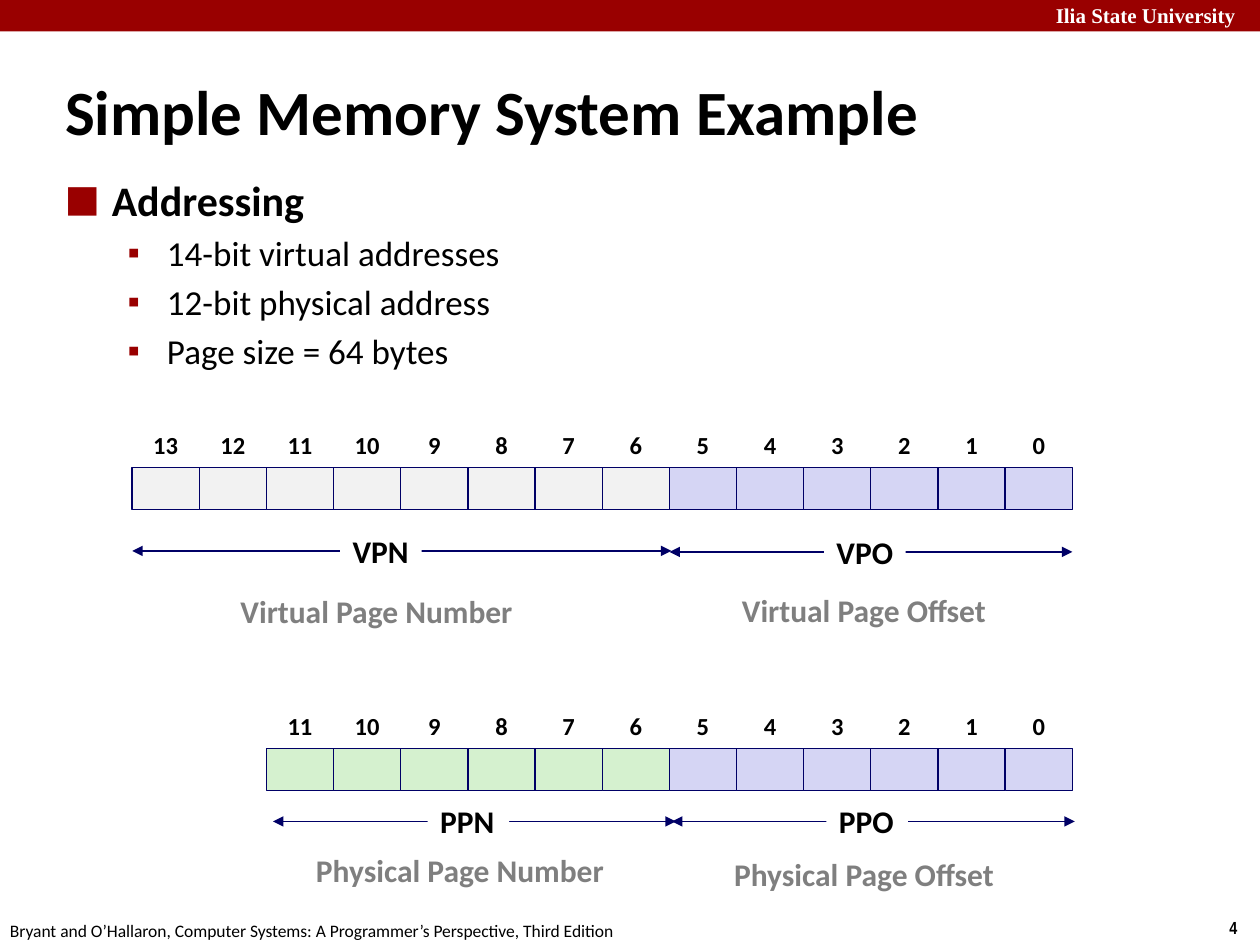
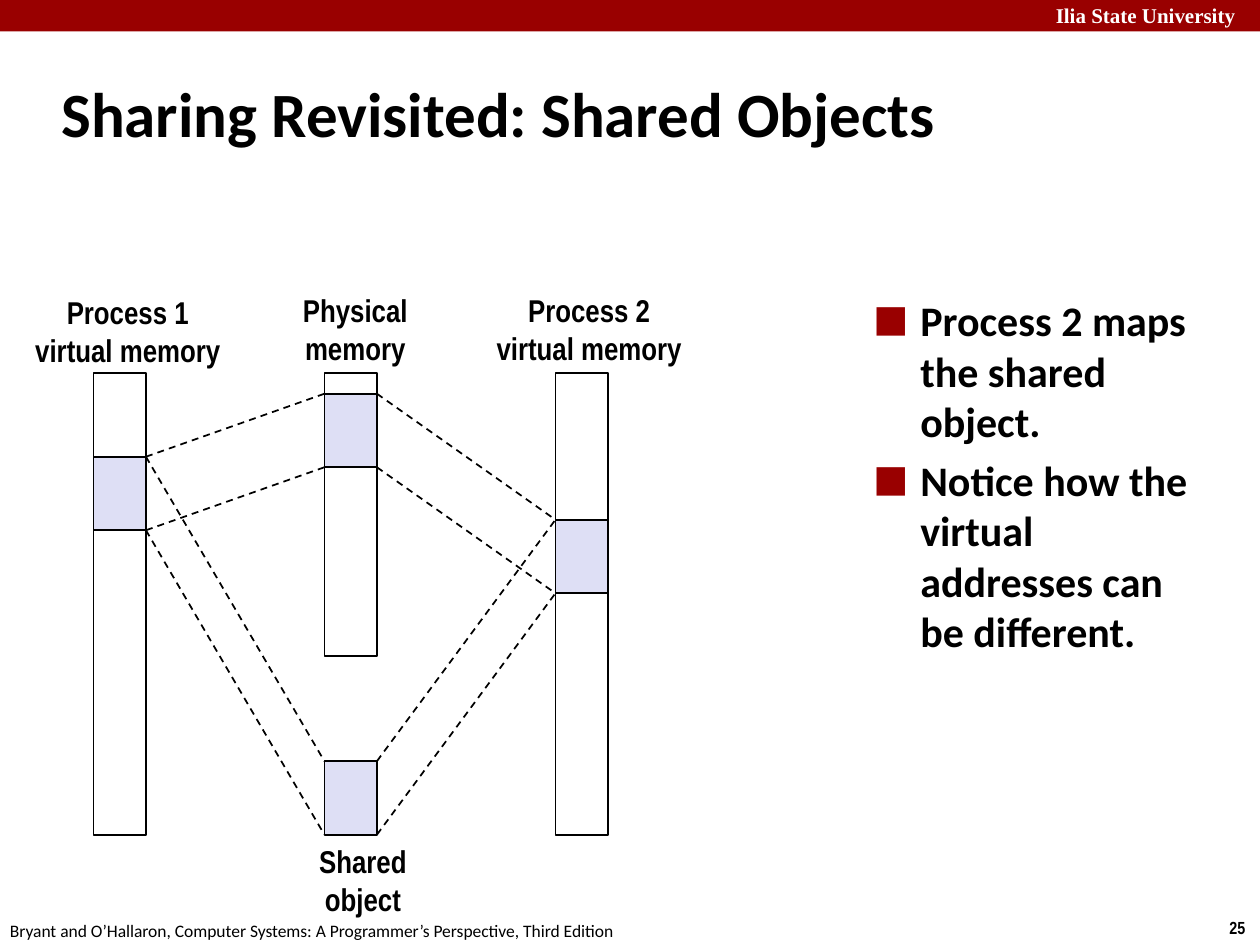
from dataclasses import dataclass
from typing import Optional

from lxml.etree import SubElement
from pptx import Presentation
from pptx.dml.color import RGBColor
from pptx.enum.dml import MSO_LINE
from pptx.enum.shapes import MSO_CONNECTOR, MSO_SHAPE
from pptx.enum.text import MSO_ANCHOR, PP_ALIGN
from pptx.oxml.ns import qn
from pptx.util import Pt

COLORS = {
    "band": "990000",
    "paper": "FFFFFF",
    "ink": "000000",
    "caption": "7F7F7F",
    "navy": "000066",
    "virtual": "F2F2F2",
    "physical": "D5F1CF",
    "offset": "D5D5F4",
    "shared": "DEDFF5",
}

CELL_WIDTH = 38.38
CELL_HEIGHT = 24
OFFSET_BITS = 6
ROW_RIGHT = 612.8

COLUMN_WIDTH = 30
COLUMN_TOP = 213
COLUMN_HEIGHT = 264
BLOCK_HEIGHT = 42
PROCESS_1_LEFT, PHYSICAL_LEFT, PROCESS_2_LEFT = (53.4 + 132 * index for index in range(3))


@dataclass(frozen=True)
class Area:
    left: float
    top: float
    width: float
    height: float

    @property
    def right(self) -> float:
        return self.left + self.width

    @property
    def bottom(self) -> float:
        return self.top + self.height

    def lengths(self) -> tuple:
        return Pt(self.left), Pt(self.top), Pt(self.width), Pt(self.height)


@dataclass(frozen=True)
class Style:
    size: float
    font: str = "Calibri"
    color: str = "ink"
    bold: bool = True
    align: PP_ALIGN = PP_ALIGN.LEFT
    anchor: MSO_ANCHOR = MSO_ANCHOR.TOP
    spacing: Optional[float] = None
    wrap: bool = True


@dataclass(frozen=True)
class Bullet:
    symbol: str
    percent: int
    margin: float
    hanging: float
    size: float
    bold: bool
    space: float


@dataclass(frozen=True)
class BitRow:
    top: float
    bits: int
    color: str


@dataclass(frozen=True)
class Field:
    name: str
    left: float
    right: float
    middle: float
    name_left: float
    caption: str
    caption_area: Area


TITLE = Style(36, anchor=MSO_ANCHOR.MIDDLE)
UNIVERSITY = Style(12, "Times New Roman", "paper")
PAGE_NUMBER = Style(10, "Arial Narrow")
CREDIT = Style(10, bold=False)
BIT_NUMBER = Style(14, align=PP_ALIGN.CENTER, anchor=MSO_ANCHOR.MIDDLE, spacing=0.88)
FIELD_NAME = Style(18, spacing=0.88, wrap=False)
CAPTION = Style(18, color="caption", spacing=0.88, wrap=False)
MEMORY_NAME = Style(18, "Arial Narrow", align=PP_ALIGN.CENTER, anchor=MSO_ANCHOR.MIDDLE)

MAIN_POINT = Bullet("■", 140, 27, 27, 24, True, 4.8)
DETAIL = Bullet("▪", 100, 58.5, 22.5, 20, False, 4)

BIT_ROWS = [BitRow(267.2, 14, "virtual"), BitRow(427.8, 12, "physical")]

FIELDS = [
    Field("VPN", 75.6, 383.6, 314.8, 194.4, "Virtual Page Number", Area(130.3, 337.7, 171.4, 26)),
    Field("VPO", 382.6, 612.8, 315.4, 470.9, "Virtual Page Offset", Area(416.9, 337, 155.5, 26)),
    Field("PPN", 156, 386.2, 469.4, 244.4, "Physical Page Number", Area(173.5, 485.3, 180, 26)),
    Field("PPO", 384, 614.2, 469.4, 472.3, "Physical Page Offset", Area(412.4, 487.8, 164.9, 26)),
]


def rgb(name: str) -> RGBColor:
    return RGBColor.from_string(COLORS[name])


def draw_rectangle(page, area: Area, fill: Optional[str], line: Optional[str] = None, width: float = 1):
    box = page.shapes.add_shape(MSO_SHAPE.RECTANGLE, *area.lengths())
    box.shadow.inherit = False
    if fill:
        box.fill.solid()
        box.fill.fore_color.rgb = rgb(fill)
    else:
        box.fill.background()
    if line:
        box.line.color.rgb = rgb(line)
        box.line.width = Pt(width)
    else:
        box.line.fill.background()
    return box


def write(box, text: str, style: Style) -> None:
    frame = box.text_frame
    frame.word_wrap = style.wrap
    frame.vertical_anchor = style.anchor
    for index, line in enumerate(text.split("\n")):
        para = frame.paragraphs[0] if index == 0 else frame.add_paragraph()
        para.add_run().text = line
        para.alignment = style.align
        if style.spacing:
            para.line_spacing = style.spacing
        para.font.name = style.font
        para.font.size = Pt(style.size)
        para.font.bold = style.bold
        para.font.color.rgb = rgb(style.color)


def add_text(page, area: Area, text: str, style: Style) -> None:
    write(page.shapes.add_textbox(*area.lengths()), text, style)


def add_bullets(page, area: Area, items: list[tuple[str, Bullet]]) -> None:
    frame = page.shapes.add_textbox(*area.lengths()).text_frame
    frame.word_wrap = True
    for index, (text, bullet) in enumerate(items):
        para = frame.paragraphs[0] if index == 0 else frame.add_paragraph()
        para.add_run().text = text
        properties = para._p.get_or_add_pPr()
        properties.set("marL", str(Pt(bullet.margin)))
        properties.set("indent", str(-Pt(bullet.hanging)))
        color = SubElement(properties, qn("a:buClr"))
        SubElement(color, qn("a:srgbClr"), val=COLORS["band"])
        SubElement(properties, qn("a:buSzPct"), val=str(bullet.percent * 1000))
        SubElement(properties, qn("a:buFont"), typeface="Times New Roman")
        SubElement(properties, qn("a:buChar"), char=bullet.symbol)
        para.space_before = Pt(bullet.space if index else 0)
        para.font.name = "Calibri"
        para.font.size = Pt(bullet.size)
        para.font.bold = bullet.bold
        para.font.color.rgb = rgb("ink")


def draw_line(page, start: tuple[float, float], end: tuple[float, float], color: str,
              width: float, dashed: bool = False, arrows: bool = False) -> None:
    connector = page.shapes.add_connector(
        MSO_CONNECTOR.STRAIGHT, *(Pt(value) for value in (*start, *end)))
    connector.line.color.rgb = rgb(color)
    connector.line.width = Pt(width)
    if dashed:
        connector.line.dash_style = MSO_LINE.DASH
    properties = connector._element.spPr
    if arrows:
        outline = properties.find(qn("a:ln"))
        for tag in ("a:headEnd", "a:tailEnd"):
            SubElement(outline, qn(tag), type="triangle")
    SubElement(properties, qn("a:effectLst"))


def add_page(deck, title: str, title_area: Area, number: int):
    page = deck.slides.add_slide(deck.slide_layouts[6])
    draw_rectangle(page, Area(0, 0, 720, 18), "band")
    add_text(page, Area(596.2, -2.2, 129, 21.6), "Ilia State University", UNIVERSITY)
    add_text(page, Area(695.5, 520.6, 24.5, 19.4), str(number), PAGE_NUMBER)
    add_text(page, Area(-1.4, 522, 366, 19.4),
             "Bryant and O’Hallaron, Computer Systems: A Programmer’s Perspective, Third Edition", CREDIT)
    add_text(page, title_area, title, TITLE)
    return page


def draw_bit_row(page, row: BitRow) -> None:
    for bit in reversed(range(row.bits)):
        left = ROW_RIGHT - (bit + 1) * CELL_WIDTH
        color = "offset" if bit < OFFSET_BITS else row.color
        draw_rectangle(page, Area(left, row.top, CELL_WIDTH, CELL_HEIGHT), color, "navy", 0.75)
        add_text(page, Area(left, row.top - CELL_HEIGHT, CELL_WIDTH, CELL_HEIGHT), str(bit), BIT_NUMBER)


def draw_field(page, field: Field) -> None:
    draw_line(page, (field.left, field.middle), (field.right, field.middle), "navy", 0.75, arrows=True)
    box = draw_rectangle(page, Area(field.name_left, field.middle - 11.6, 46.6, 26), "paper")
    write(box, field.name, FIELD_NAME)
    add_text(page, field.caption_area, field.caption, CAPTION)


def link_blocks(page, left: Area, right: Area) -> None:
    draw_line(page, (left.right, left.top), (right.left, right.top), "ink", 1, dashed=True)
    draw_line(page, (left.right, left.bottom), (right.left, right.bottom), "ink", 1, dashed=True)


def build_addressing(deck) -> None:
    page = add_page(deck, "Simple Memory System Example", Area(30.2, 40.3, 575, 45.4), 4)
    add_bullets(page, Area(29.8, 96.2, 654.5, 124.6), [
        ("Addressing", MAIN_POINT),
        ("14-bit virtual addresses", DETAIL),
        ("12-bit physical address", DETAIL),
        ("Page size = 64 bytes", DETAIL),
    ])
    for row in BIT_ROWS:
        draw_bit_row(page, row)
    for field in FIELDS:
        draw_field(page, field)


def build_sharing(deck) -> None:
    page = add_page(deck, "Sharing Revisited: Shared Objects", Area(28, 34.4, 597.6, 59.8), 25)
    for left, height in ((PROCESS_1_LEFT, COLUMN_HEIGHT), (PHYSICAL_LEFT, 162),
                         (PROCESS_2_LEFT, COLUMN_HEIGHT)):
        draw_rectangle(page, Area(left, COLUMN_TOP, COLUMN_WIDTH, height), None, "ink")

    process_1, physical, process_2, shared = blocks = [
        Area(left, top, COLUMN_WIDTH, BLOCK_HEIGHT)
        for left, top in ((PROCESS_1_LEFT, 261), (PHYSICAL_LEFT, 225),
                          (PROCESS_2_LEFT, 297), (PHYSICAL_LEFT, 435))
    ]
    for block in blocks:
        draw_rectangle(page, block, "shared", "ink")
    for middle in (shared, physical):
        link_blocks(page, process_1, middle)
        link_blocks(page, middle, process_2)

    for text, area in (
        ("Process 1\nvirtual memory", Area(12.2, 163.6, 121.7, 51)),
        ("Physical\nmemory", Area(165.6, 162.6, 74.9, 51)),
        ("Process 2\nvirtual memory", Area(275.8, 162.6, 121.7, 51)),
        ("Shared\nobject", Area(175, 477.4, 64.8, 51)),
    ):
        add_text(page, area, text, MEMORY_NAME)
    add_bullets(page, Area(491.8, 164.9, 208.8, 362.9), [
        ("Process 2 maps the shared object.", MAIN_POINT),
        ("Notice how the virtual addresses can be different.", MAIN_POINT),
    ])


def main() -> None:
    deck = Presentation()
    deck.slide_width, deck.slide_height = Pt(720), Pt(540)
    build_addressing(deck)
    build_sharing(deck)
    deck.save("out.pptx")


main()
